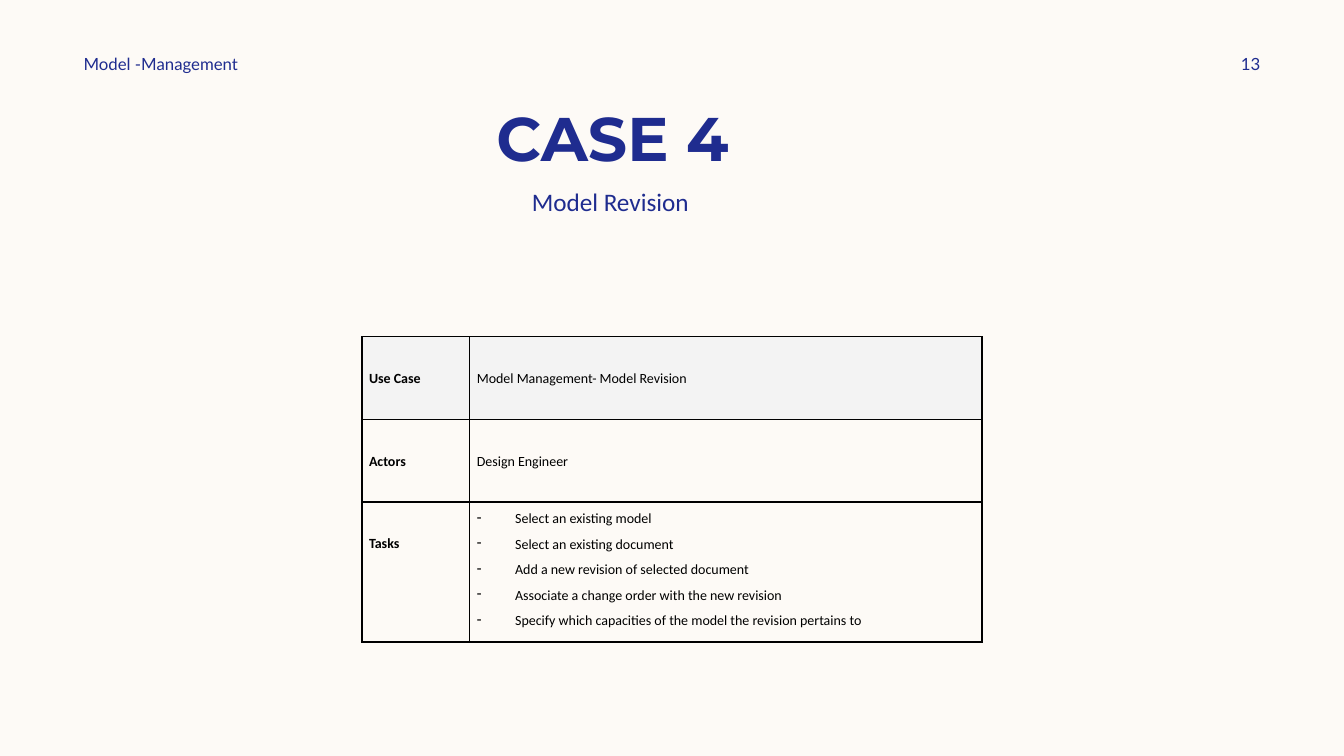
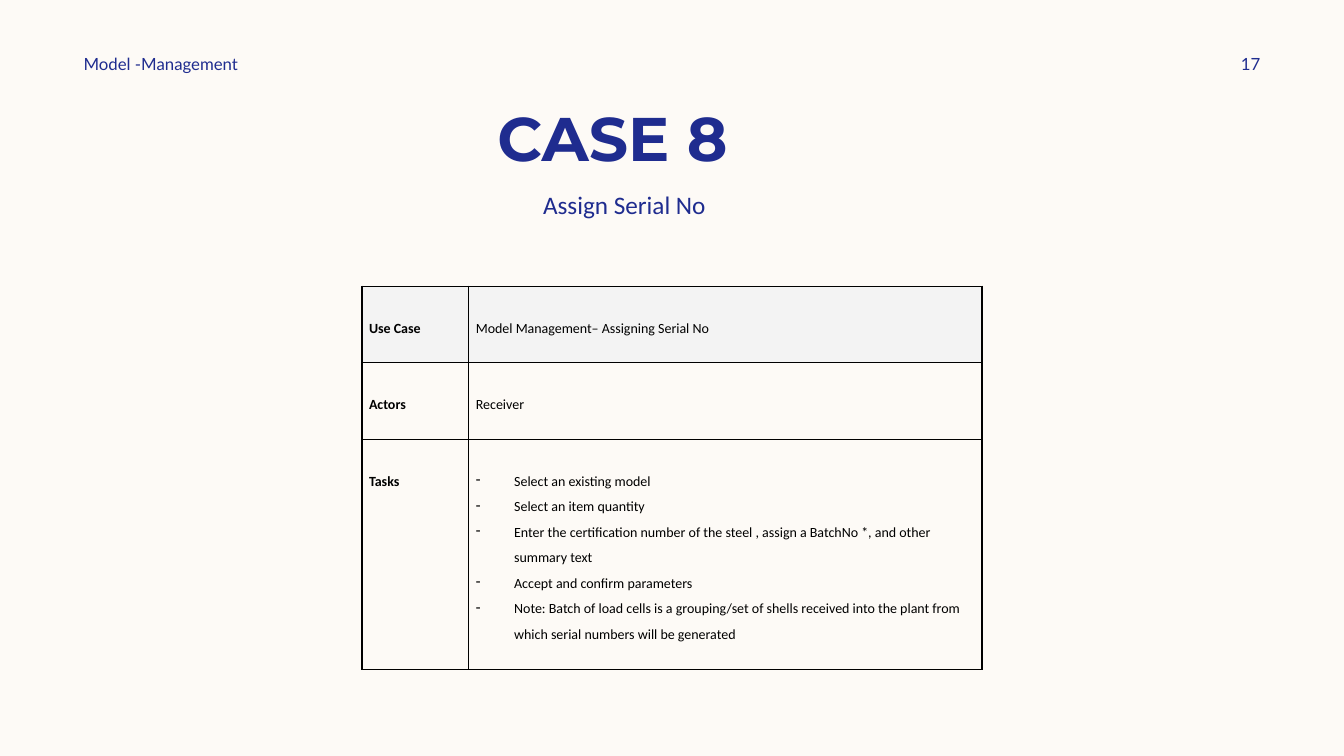
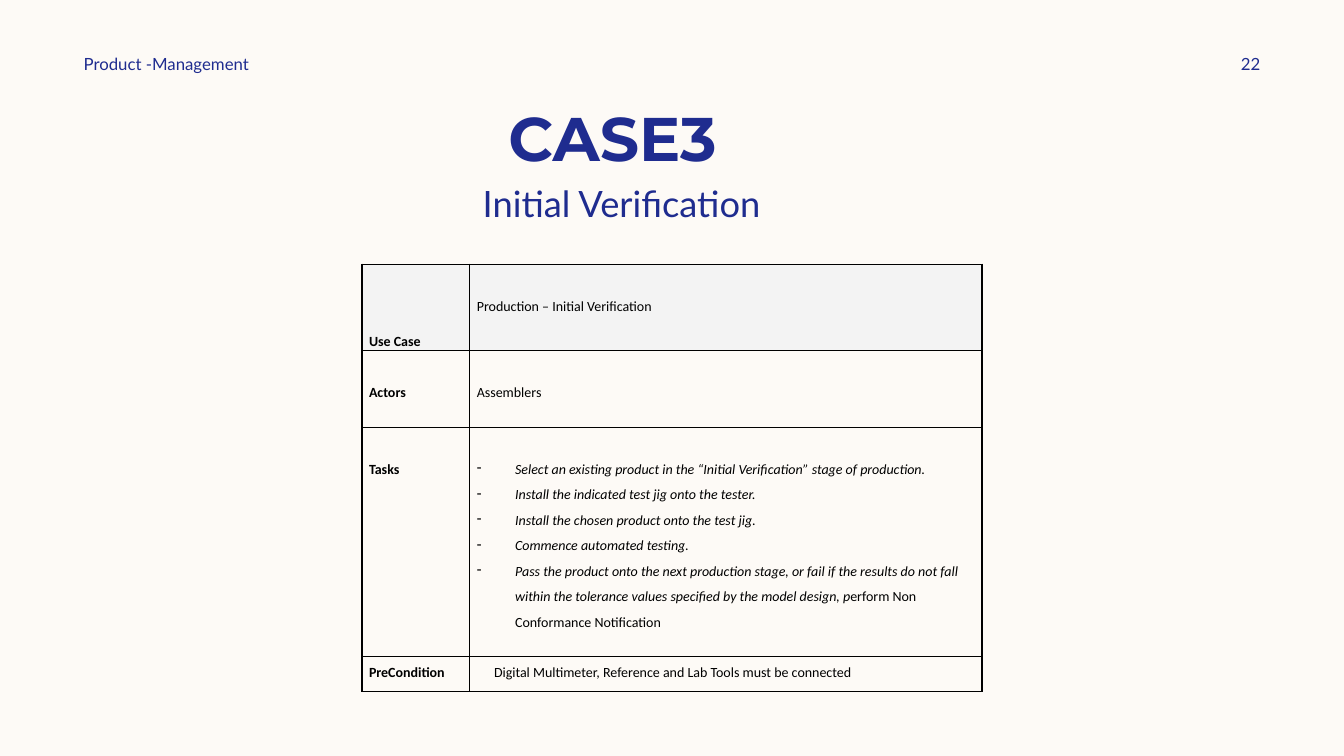
from dataclasses import dataclass

from lxml import etree
from pptx import Presentation
from pptx.dml.color import RGBColor
from pptx.enum.text import MSO_ANCHOR, MSO_AUTO_SIZE, PP_ALIGN
from pptx.oxml.ns import qn
from pptx.util import Inches, Pt

LEFT, CENTER, RIGHT = PP_ALIGN.LEFT, PP_ALIGN.CENTER, PP_ALIGN.RIGHT
TOP, MIDDLE, BOTTOM = MSO_ANCHOR.TOP, MSO_ANCHOR.MIDDLE, MSO_ANCHOR.BOTTOM
NO_AUTOFIT = MSO_AUTO_SIZE.NONE

CREAM = RGBColor(0xFD, 0xFA, 0xF6)
NAVY = RGBColor(0x1F, 0x2C, 0x8F)
BLACK = RGBColor(0, 0, 0)
HEADER_GREY = RGBColor(0xF3, 0xF3, 0xF3)

# Page grid, in inches
PAGE_W, PAGE_H = 13.33, 7.5
MARGIN = 0.83
HEADER_TOP, HEADER_H = 0.5, 0.27
SECTION_W, NUMBER_W = 3.5, 1.08
TITLE_W, TITLE_H = PAGE_W * 0.8, 0.94
SUBTITLE_W, SUBTITLE_H = 5.81, 0.48
TABLE_W = 6.15
TABLE_LEFT = (PAGE_W - TABLE_W) / 2
LINE = 0.25      # one table text line
CELL_PAD = 0.07
HANGING = 0.38


@dataclass
class CaseRow:
    """A label and its paragraphs; each paragraph is a list of (text, italic)."""
    label: str
    paragraphs: list
    height: float
    label_top: float = LINE
    body_top: float = LINE
    indent: float = 0
    dashed: bool = False


def plain(*texts):
    return [[(text, False)] for text in texts]


def italic(*texts):
    return [[(text, True)] for text in texts]


def style(font, name, size, color, bold=False, slanted=False):
    font.name, font.size = name, Pt(size)
    font.color.rgb = color
    font.bold, font.italic = bold, slanted


def fill_frame(frame, text, font, size, align, anchor, bold=False):
    frame.word_wrap = True
    frame.auto_size = NO_AUTOFIT
    frame.vertical_anchor = anchor
    frame.text = text
    paragraph = frame.paragraphs[0]
    paragraph.alignment = align
    style(paragraph.runs[0].font, font, size, NAVY, bold)
    return paragraph


def add_label(slide, box, text, font, size, align, anchor=TOP):
    label = slide.shapes.add_textbox(*map(Inches, box))
    return label.text_frame, fill_frame(label.text_frame, text, font, size, align, anchor)


def add_header(slide, section, number):
    frame, _ = add_label(slide, (MARGIN, HEADER_TOP, SECTION_W, HEADER_H),
                         section, "Lato", 12, LEFT, MIDDLE)
    frame.margin_left = frame.margin_right = 0
    frame, _ = add_label(slide, (PAGE_W - MARGIN - NUMBER_W, HEADER_TOP, NUMBER_W, HEADER_H),
                         number, "Lato", 12, RIGHT, MIDDLE)
    frame.margin_right = 0


def add_title(slide, text):
    title = slide.shapes.title
    title.left, title.top = Inches(MARGIN), Inches(MARGIN)
    title.width, title.height = Inches(TITLE_W), Inches(TITLE_H)
    fill_frame(title.text_frame, text, "Montserrat", 44, CENTER, BOTTOM, bold=True)


def add_subtitle(slide, text, left, top, font="Calibri", size=18, spacing=1.0):
    _, paragraph = add_label(slide, (left, top, SUBTITLE_W, SUBTITLE_H),
                             text, font, size, CENTER)
    paragraph.line_spacing = spacing


def add_borders(cell):
    properties = cell._tc.get_or_add_tcPr()
    for side in ("a:lnL", "a:lnR", "a:lnT", "a:lnB"):
        line = etree.SubElement(properties, qn(side), w=str(Pt(1)))
        solid = etree.SubElement(line, qn("a:solidFill"))
        etree.SubElement(solid, qn("a:srgbClr"), val=str(BLACK))


def add_dash(paragraph):
    properties = paragraph._p.get_or_add_pPr()
    properties.set("marL", str(Inches(HANGING)))
    properties.set("indent", str(-Inches(HANGING)))
    etree.SubElement(properties, qn("a:buChar"), char="-")


def fill_cell(cell, paragraphs, top, indent=0, dashed=False, bold=False, shaded=False):
    cell.margin_left, cell.margin_right = Inches(CELL_PAD + indent), Inches(CELL_PAD)
    cell.margin_top, cell.margin_bottom = Inches(top), 0
    add_borders(cell)
    if shaded:
        cell.fill.solid()
        cell.fill.fore_color.rgb = HEADER_GREY
    else:
        cell.fill.background()
    frame = cell.text_frame
    for index, parts in enumerate(paragraphs):
        paragraph = frame.add_paragraph() if index else frame.paragraphs[0]
        paragraph.line_spacing = 1.5
        if dashed:
            add_dash(paragraph)
        for text, slanted in parts:
            run = paragraph.add_run()
            run.text = text
            style(run.font, "Calibri", 10, BLACK, bold, slanted)


def add_case_table(slide, top, rows, label_w=1.07):
    height = sum(row.height for row in rows)
    table = slide.shapes.add_table(len(rows), 2, *map(Inches, (TABLE_LEFT, top, TABLE_W, height))).table
    table.first_row = table.horz_banding = False
    table.columns[0].width = Inches(label_w)
    table.columns[1].width = Inches(TABLE_W - label_w)
    for index, row in enumerate(rows):
        table.rows[index].height = Inches(row.height)
        shaded = index == 0
        fill_cell(table.cell(index, 0), plain(row.label), row.label_top, bold=True, shaded=shaded)
        fill_cell(table.cell(index, 1), row.paragraphs, row.body_top, row.indent,
                  row.dashed, shaded=shaded)


def add_case_slide(deck, section, number, title):
    slide = deck.slides.add_slide(deck.slide_layouts[5])
    add_title(slide, title)
    add_header(slide, section, number)
    return slide


def main():
    deck = Presentation()
    deck.slide_width, deck.slide_height = Inches(PAGE_W), Inches(PAGE_H)
    background = deck.slide_master.background.fill
    background.solid()
    background.fore_color.rgb = CREAM

    # Model revision
    slide = add_case_slide(deck, "Model -Management", "13", "CASE 4 ")
    add_subtitle(slide, " Model Revision", 3.12, 1.8)
    add_case_table(slide, 3.34, [
        CaseRow("Use Case", plain("Model Management- Model Revision"), 0.82),
        CaseRow("Actors", plain("Design Engineer"), 0.82),
        CaseRow("Tasks", plain(
            "Select an existing model",
            "Select an existing document",
            "Add a new revision of selected document",
            "Associate a change order with the new revision",
            "Specify which capacities of the model the revision pertains to",
        ), 1.39, body_top=0, dashed=True),
    ])

    # Serial numbers
    slide = add_case_slide(deck, "Model -Management", "17", "CASE 8 ")
    add_subtitle(slide, " Assign Serial No", 3.26, 1.83)
    add_case_table(slide, 2.84, [
        CaseRow("Use Case", plain("Model Management– Assigning Serial No"), 0.76),
        CaseRow("Actors", plain("Receiver"), 0.76),
        CaseRow("Tasks", plain(
            "Select an existing model",
            "Select an item quantity",
            "Enter the certification number of the steel , assign a BatchNo *, and other summary text",
            "Accept and confirm parameters",
            "Note: Batch of load cells is a grouping/set of shells received into the plant from "
            "which serial numbers will be generated",
        ), 2.28, dashed=True),
    ], label_w=1.06)

    # Initial verification
    slide = add_case_slide(deck, "Product -Management", "22", "CASE3 ")
    add_subtitle(slide, "Initial Verification", 3.26, 1.83, "Lato", 25.9, 0.8)
    tasks = italic(
        "Select an existing product in the “Initial Verification” stage of production.",
        "Install the indicated test jig onto the tester.",
        "Install the chosen product onto the test jig.",
        "Commence automated testing.",
        "Pass the product onto the next production stage, or fail if the results do not fall "
        "within the tolerance values specified by the model design, p",
    )
    tasks[-1].append(("erform Non Conformance Notification", False))
    add_case_table(slide, 2.62, [
        CaseRow("Use Case", plain("Production – Initial Verification"), 0.86, label_top=0.6),
        CaseRow("Actors", plain("Assemblers"), 0.76),
        CaseRow("Tasks", tasks, 2.27, dashed=True),
        CaseRow("PreCondition", plain("Digital Multimeter, Reference and Lab Tools must be connected"),
                0.35, label_top=0, body_top=0, indent=0.17),
    ])

    deck.save("out.pptx")


if __name__ == "__main__":
    main()
